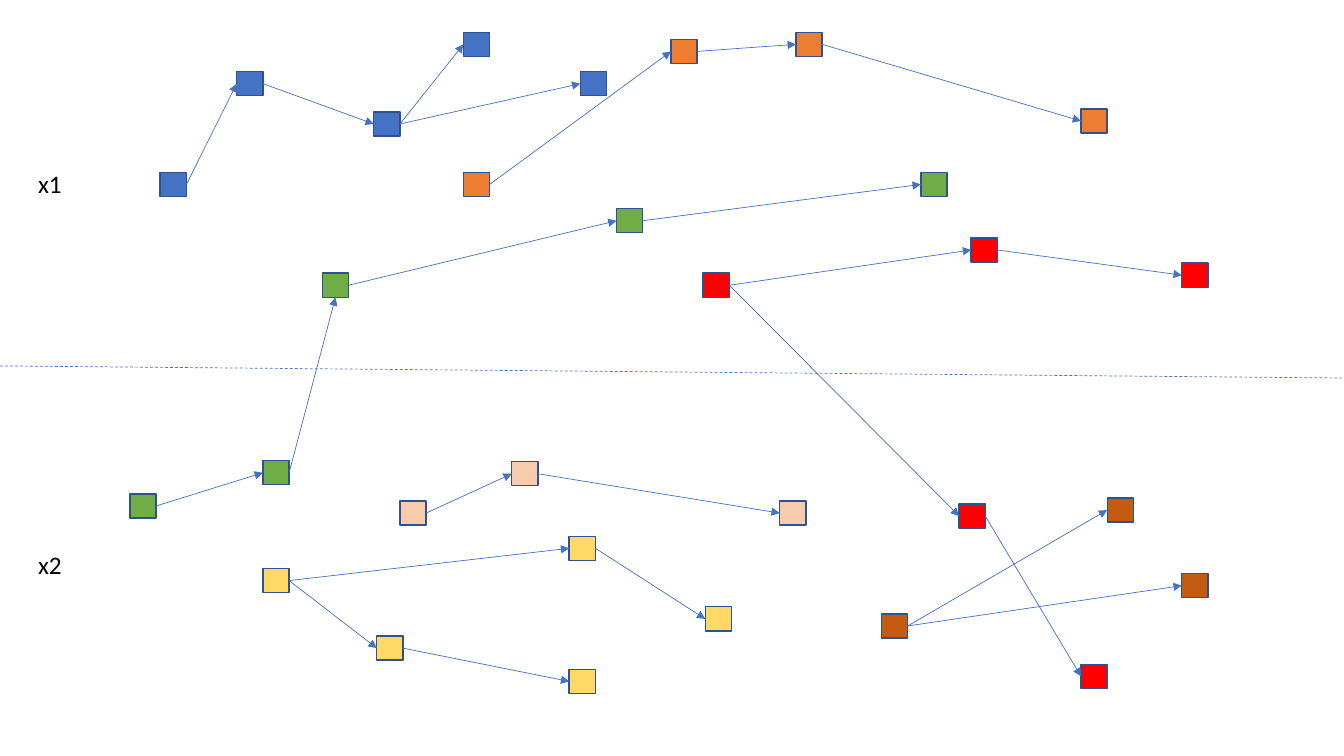
from dataclasses import dataclass

from lxml.etree import SubElement
from pptx import Presentation
from pptx.dml.color import RGBColor
from pptx.enum.dml import MSO_LINE
from pptx.enum.shapes import MSO_CONNECTOR, MSO_SHAPE
from pptx.oxml.ns import qn
from pptx.shapes.autoshape import Shape
from pptx.shapes.connector import Connector
from pptx.slide import Slide
from pptx.util import Emu, Pt

SCALE = 9144  # EMU per px, 100 px to the inch
WIDE, HIGH = 1334, 750
BOX_W, BOX_H = 26, 24
LEFT, BOTTOM, RIGHT = 1, 2, 3  # connection sites of a rectangle
BLUE, EDGE, BLACK = "4472C4", "2F528F", "000000"


@dataclass
class Link:
    start: int
    end: int
    site: int = LEFT


@dataclass
class Tree:
    color: str
    nodes: list[tuple[int, int]]
    links: list[Link]


@dataclass
class Label:
    text: str
    x: int
    y: int


TREES = [
    # Upper half
    Tree(BLUE, [(159, 171), (235, 71), (371, 111), (576, 71), (460, 32)],
         [Link(0, 1), Link(1, 2), Link(2, 3), Link(2, 4)]),
    Tree("ED7D31", [(460, 171), (666, 39), (790, 32), (1073, 108)],
         [Link(0, 1), Link(1, 2), Link(2, 3)]),
    # Crossing the divider
    Tree("70AD47", [(129, 490), (261, 457), (320, 271), (612, 207), (914, 171)],
         [Link(0, 1), Link(1, 2, BOTTOM), Link(2, 3), Link(3, 4)]),
    Tree("FF0000", [(698, 271), (964, 236), (1173, 261), (952, 500), (1073, 659)],
         [Link(0, 1), Link(1, 2), Link(0, 3), Link(3, 4)]),
    # Lower half
    Tree("F8CBAD", [(397, 497), (508, 458), (774, 497)],
         [Link(0, 1), Link(1, 2)]),
    Tree("FFD966", [(261, 564), (565, 532), (700, 602), (374, 631), (565, 664)],
         [Link(0, 1), Link(1, 2), Link(0, 3), Link(3, 4)]),
    Tree("C55A11", [(875, 609), (1099, 494), (1173, 569)],
         [Link(0, 1), Link(0, 2)]),
]
LABELS = [Label("x1", 28, 162), Label("x2", 28, 540)]


def px(size: int) -> Emu:
    return Emu(size * SCALE)


def rgb(color: str) -> RGBColor:
    return RGBColor.from_string(color)


def add_box(slide: Slide, x: int, y: int, color: str) -> Shape:
    box = slide.shapes.add_shape(
        MSO_SHAPE.RECTANGLE, px(x), px(y), px(BOX_W), px(BOX_H))
    box.shadow.inherit = False
    box.fill.solid()
    box.fill.fore_color.rgb = rgb(color)
    box.line.color.rgb = rgb(EDGE)
    box.line.width = Pt(1)
    return box


def add_line(slide: Slide, x1: int = 0, y1: int = 0,
             x2: int = 0, y2: int = 0) -> Connector:
    line = slide.shapes.add_connector(
        MSO_CONNECTOR.STRAIGHT, px(x1), px(y1), px(x2), px(y2))
    line.line.color.rgb = rgb(BLUE)
    line.line.width = Pt(0.5)
    SubElement(line._element.spPr, qn("a:effectLst"))
    return line


def add_arrow(slide: Slide, start: Shape, end: Shape, site: int) -> None:
    arrow = add_line(slide)
    arrow.begin_connect(start, RIGHT)
    arrow.end_connect(end, site)
    SubElement(arrow.line._get_or_add_ln(), qn("a:tailEnd"), type="triangle")


def add_label(slide: Slide, label: Label) -> None:
    box = slide.shapes.add_textbox(px(label.x), px(label.y), px(43), px(40))
    frame = box.text_frame
    frame.word_wrap = True
    frame.margin_right = 0  # keeps the label on one line
    run = frame.paragraphs[0].add_run()
    run.text = label.text
    run.font.name = "Calibri"
    run.font.size = Pt(18)
    run.font.color.rgb = rgb(BLACK)


def main() -> None:
    deck = Presentation()
    deck.slide_width, deck.slide_height = px(WIDE), px(HIGH)
    slide = deck.slides.add_slide(deck.slide_layouts[6])

    # Labels and dashed divider
    for label in LABELS:
        add_label(slide, label)
    add_line(slide, 0, 363, 1333, 375).line.dash_style = MSO_LINE.DASH

    # Squares first, so that the arrows lie on top
    groups = [[add_box(slide, x, y, tree.color) for x, y in tree.nodes]
              for tree in TREES]
    for tree, boxes in zip(TREES, groups):
        for link in tree.links:
            add_arrow(slide, boxes[link.start], boxes[link.end], link.site)

    deck.save("out.pptx")


if __name__ == "__main__":
    main()
